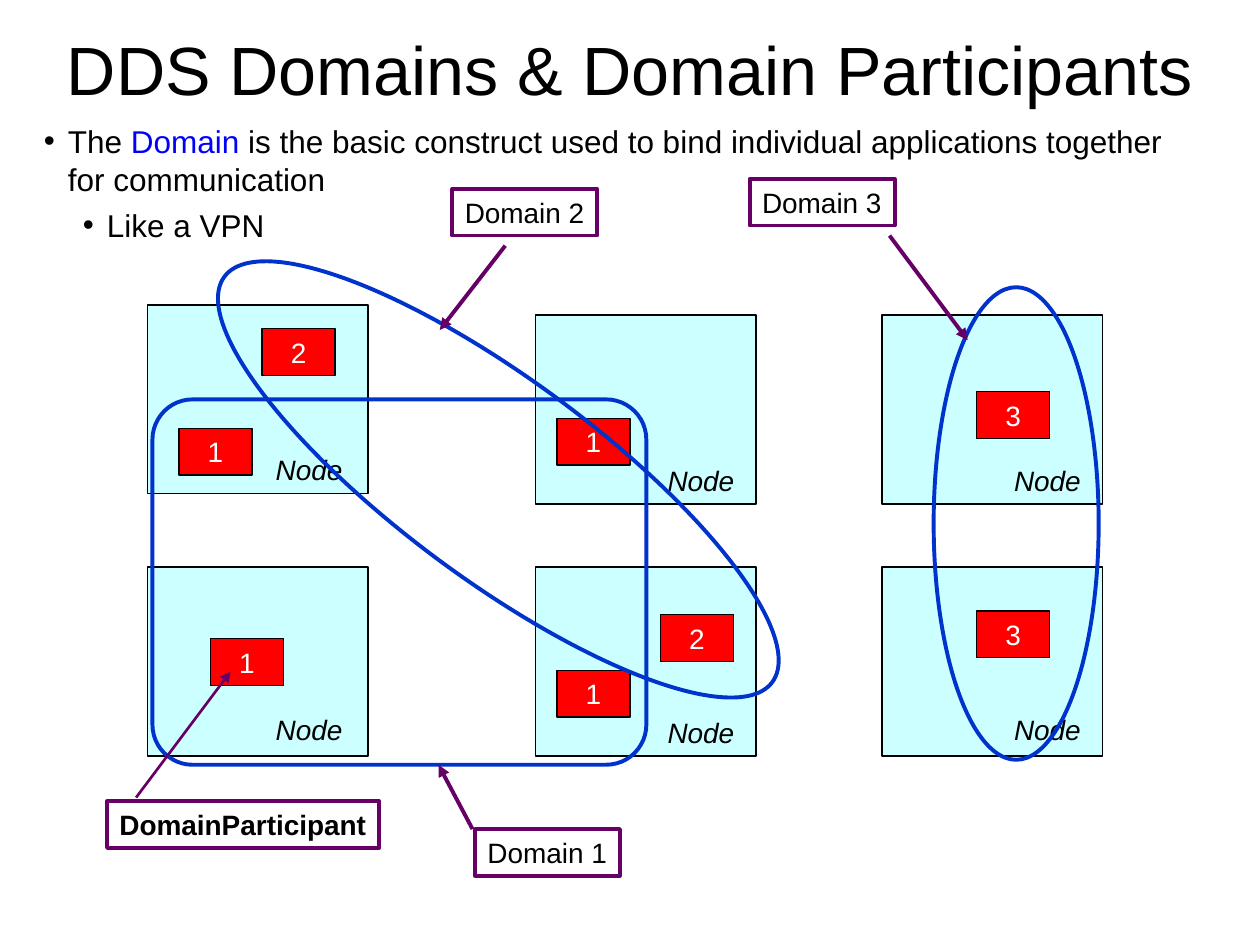
from lxml import etree
from pptx import Presentation
from pptx.dml.color import RGBColor
from pptx.enum.shapes import MSO_CONNECTOR as Connector, MSO_SHAPE as Shape
from pptx.enum.text import MSO_ANCHOR as Anchor, MSO_AUTO_SIZE as AutoSize, PP_ALIGN as Align
from pptx.oxml.ns import qn
from pptx.util import Inches, Pt

COLORS = {
    "text": "000000", "keyword": "0000FF", "node": "CCFFFF",
    "participant": "FF0000", "number": "FFFFFF",
    "callout": "660066", "domain": "0033CC",
}
FONT = "Arial"
TITLE = "DDS Domains & Domain Participants"
BULLETS = [
    (0, 0.19, 0, [
        ("The ", "text"), ("Domain", "keyword"),
        (" is the basic construct used to bind individual applications together for communication", "text"),
    ]),
    (1, 0.5, 4.5, [("Like a VPN", "text")]),
]
NODE_SIZE = (1.75, 1.5)
PARTICIPANT_SIZE = (0.58, 0.37)
NODES = [
    {"at": (1.17, 2.42), "name_at": (2.09, 3.54), "participants": [("1", 1.42, 3.4), ("2", 2.08, 2.61)]},
    {"at": (4.25, 2.5), "name_at": (5.2, 3.63), "participants": [("1", 4.42, 3.32)]},
    {"at": (7, 2.5), "name_at": (7.95, 3.63), "participants": [("3", 7.75, 3.11)]},
    {"at": (1.17, 4.5), "name_at": (2.09, 5.61), "participants": [("1", 1.67, 5.07)]},
    {"at": (4.25, 4.5), "name_at": (5.2, 5.63), "participants": [("2", 5.24, 4.88), ("1", 4.42, 5.32)]},
    {"at": (7, 4.5), "name_at": (7.95, 5.61), "participants": [("3", 7.75, 4.85)]},
]
DOMAINS = [
    (Shape.ROUNDED_RECTANGLE, (1.21, 3.17, 3.92, 2.9), 0),
    (Shape.OVAL, (7.41, 2.28, 1.31, 3.75), 0),
    (Shape.OVAL, (1.25, 3.01, 5.41, 1.59), 36.5),
]
CALLOUTS = [
    ("DomainParticipant", (0.85, 6.36, 2.16, 0.37), (1.08, 6.33), (1.83, 5.33), 1.5, True),
    ("Domain 1", (3.77, 6.58, 1.15, 0.37), (3.75, 6.58), (3.48, 6.07), 2.25, False),
    ("Domain 2", (3.59, 1.5, 1.15, 0.37), (4.01, 1.95), (3.49, 2.62), 2.25, False),
    ("Domain 3", (5.95, 1.42, 1.15, 0.37), (7.06, 1.87), (7.68, 2.7), 2.25, False),
]

prs = Presentation()
prs.slide_width, prs.slide_height = Inches(10), Inches(7.5)
slide = prs.slides.add_slide(prs.slide_layouts[6])


def rgb(name):
    return RGBColor.from_string(COLORS[name])


def style(font, size, color="text", bold=False, italic=False):
    font.name, font.size = FONT, Pt(size)
    font.bold, font.italic = bold, italic
    font.color.rgb = rgb(color)


def add_outline(kind, box, line, width, fill=None):
    outline = slide.shapes.add_shape(kind, *map(Inches, box))
    outline.shadow.inherit = False
    if fill:
        outline.fill.solid()
        outline.fill.fore_color.rgb = rgb(fill)
    else:
        outline.fill.background()
    outline.line.color.rgb = rgb(line)
    outline.line.width = Pt(width)
    return outline


def add_textbox(box):
    return slide.shapes.add_textbox(*map(Inches, box))


def write(holder, text, size=16, align=Align.LEFT, anchor=Anchor.TOP, wrap=False, **look):
    frame = holder.text_frame
    frame.text = text
    frame.word_wrap = wrap
    frame.vertical_anchor = anchor
    frame.paragraphs[0].alignment = align
    style(frame.paragraphs[0].runs[0].font, size, **look)


def add_arrow(start, end, width):
    arrow = slide.shapes.add_connector(Connector.STRAIGHT, *map(Inches, start + end))
    arrow.line.color.rgb = rgb("callout")
    arrow.line.width = Pt(width)
    etree.SubElement(arrow.line._get_or_add_ln(), qn("a:tailEnd"), type="triangle")
    etree.SubElement(arrow._element.spPr, qn("a:effectLst"))


def add_bullets(box):
    frame = add_textbox(box).text_frame
    frame.word_wrap = True
    frame.auto_size = AutoSize.SHAPE_TO_FIT_TEXT
    for index, (level, indent, space, pieces) in enumerate(BULLETS):
        paragraph = frame.add_paragraph() if index else frame.paragraphs[0]
        paragraph.level = level
        paragraph.space_before = Pt(space)
        properties = paragraph._p.get_or_add_pPr()
        properties.set("marL", str(Inches(indent)))
        properties.set("indent", str(-Inches(0.19)))
        bullet_color = etree.SubElement(properties, qn("a:buClr"))
        etree.SubElement(bullet_color, qn("a:srgbClr"), val=COLORS["text"])
        etree.SubElement(properties, qn("a:buFont"), typeface=FONT)
        etree.SubElement(properties, qn("a:buChar"), char="•")
        for words, color in pieces:
            run = paragraph.add_run()
            run.text = words
            style(run.font, 18, color)


write(add_textbox((0, 0.17, 10, 0.75)), TITLE, 39, Align.CENTER, Anchor.MIDDLE, True)

for node in NODES:
    add_outline(Shape.RECTANGLE, node["at"] + NODE_SIZE, "text", 0.75, "node")
    for number, left, top in node["participants"]:
        participant = add_outline(
            Shape.RECTANGLE, (left, top) + PARTICIPANT_SIZE, "text", 0.75, "participant")
        write(participant, number, align=Align.CENTER, anchor=Anchor.MIDDLE, wrap=True, color="number")
    write(add_textbox(node["name_at"] + (0.73, 0.37)), "Node", italic=True)

for kind, box, rotation in DOMAINS:
    domain = add_outline(kind, box, "domain", 2.25)
    domain.rotation = rotation
    if kind == Shape.ROUNDED_RECTANGLE:
        domain.adjustments[0] = 0.11

for label, box, start, end, width, bold in CALLOUTS:
    write(add_outline(Shape.RECTANGLE, box, "callout", 2.25), label, bold=bold)
    add_arrow(start, end, width)

add_bullets((0.25, 0.92, 9.25, 1.07))

prs.save("out.pptx")
